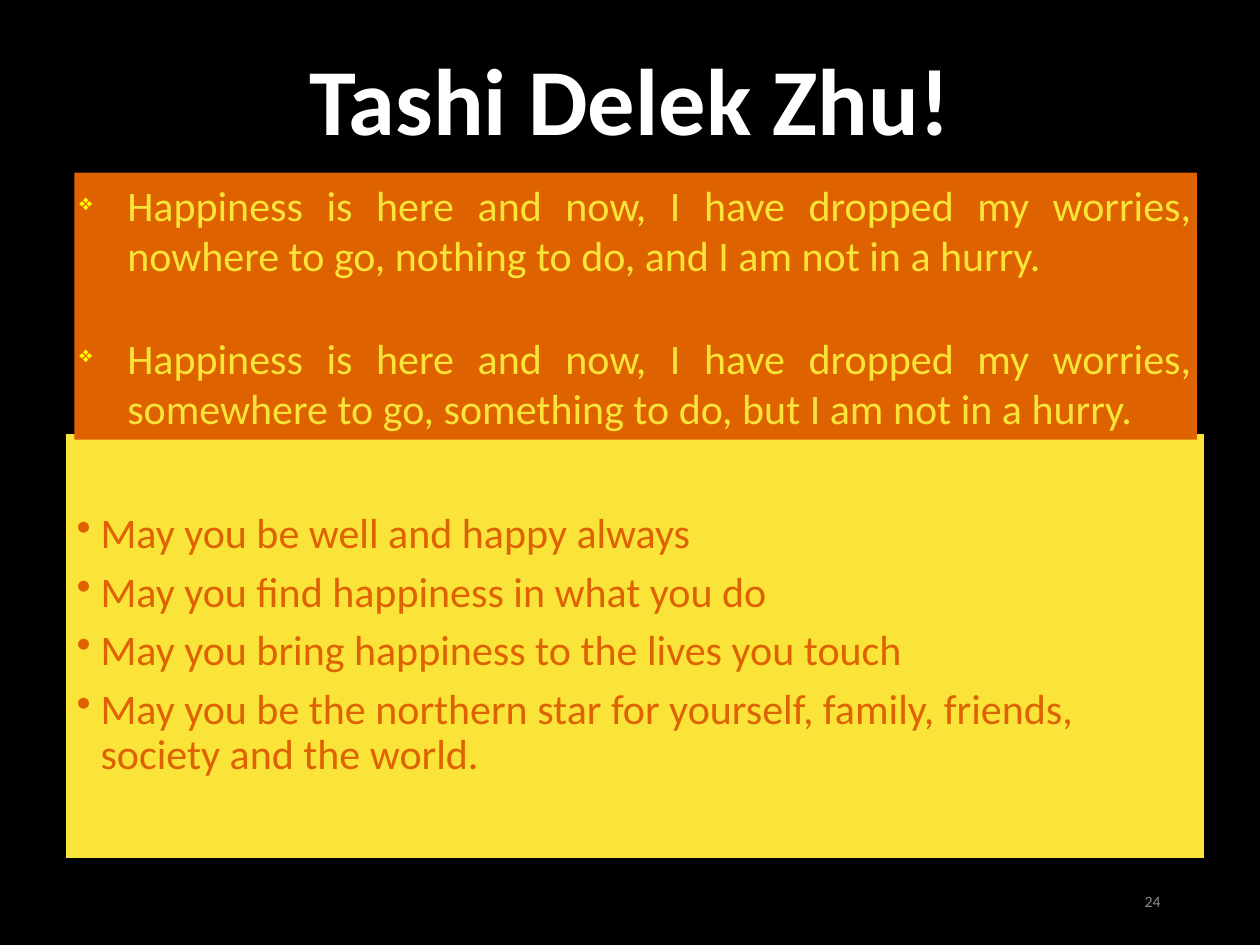
from dataclasses import dataclass

from lxml import etree
from pptx import Presentation
from pptx.dml.color import RGBColor
from pptx.enum import shapes, text
from pptx.oxml.ns import qn
from pptx.util import Inches, Pt


@dataclass(frozen=True)
class Theme:
    """Colours, type sizes and font of the slide."""
    black: str = "000000"
    white: str = "FFFFFF"
    grey: str = "8C8C8C"
    orange: str = "DE6300"
    yellow: str = "FAE439"
    bright: str = "FFFF00"
    title: int = 54
    body: int = 24
    number: int = 9
    font: str = "Calibri"


THEME = Theme()
MANTRAS = (
    "Happiness is here and now, I have dropped my worries, nowhere to go, nothing to do, and I am not in a hurry.",
    "Happiness is here and now, I have dropped my worries, somewhere to go, something to do, but I am not in a hurry.",
)
WISHES = (
    "May you be well and happy always",
    "May you find happiness in what you do",
    "May you bring happiness to the lives you touch",
    "May you be the northern star for yourself, family, friends, society and the world.",
)


def add_bullet(paragraph, char, color, indent, percent=100):
    """Give a paragraph a coloured bullet with a hanging indent."""
    props = paragraph._p.get_or_add_pPr()
    props.set("marL", str(Inches(indent)))
    props.set("indent", str(-Inches(indent)))
    bullet_color = etree.SubElement(props, qn("a:buClr"))
    etree.SubElement(bullet_color, qn("a:srgbClr"), val=color)
    etree.SubElement(props, qn("a:buSzPct"), val=str(percent * 1000))
    etree.SubElement(props, qn("a:buChar"), char=char)


def write(frame, lines, size, color, bold=False, align=text.PP_ALIGN.LEFT,
          spacing=1.0, gap=0, bullet=None):
    """Fill a text frame with one formatted paragraph per line."""
    frame.word_wrap = True
    frame.vertical_anchor = text.MSO_ANCHOR.MIDDLE
    for index, line in enumerate(lines):
        paragraph = frame.add_paragraph() if index else frame.paragraphs[0]
        if bullet:
            add_bullet(paragraph, **bullet)
        paragraph.alignment = align
        paragraph.line_spacing = spacing
        paragraph.space_before = Pt(gap if index else 0)
        run = paragraph.add_run()
        run.text = line
        run.font.name = THEME.font
        run.font.size = Pt(size)
        run.font.bold = bold
        run.font.color.rgb = RGBColor.from_string(color)


def add_panel(slide, box, fill):
    """Add a filled rectangle without a shadow or outline."""
    panel = slide.shapes.add_shape(shapes.MSO_SHAPE.RECTANGLE, *map(Inches, box))
    panel.shadow.inherit = False
    panel.fill.solid()
    panel.fill.fore_color.rgb = RGBColor.from_string(fill)
    panel.line.fill.background()
    return panel


def add_wishes(slide, box):
    """Place the yellow panel of wishes."""
    panel = add_panel(slide, box, THEME.yellow)
    panel.line.color.rgb = RGBColor.from_string(THEME.black)
    panel.line.width = Pt(2)
    write(panel.text_frame, WISHES, THEME.body, THEME.orange, spacing=0.9, gap=7.5,
          bullet=dict(char="•", color=THEME.orange, indent=0.19))


def add_mantras(slide, box):
    """Place the orange panel of mantras."""
    frame = add_panel(slide, box, THEME.orange).text_frame
    frame.margin_left = frame.margin_right = Inches(0.04)
    frame.margin_top = frame.margin_bottom = Inches(0.04)
    write(frame, MANTRAS, THEME.body, THEME.yellow, align=text.PP_ALIGN.JUSTIFY, gap=29.5,
          bullet=dict(char="❖", color=THEME.bright, indent=0.38, percent=54))


def add_title(slide, box):
    """Place the centred title."""
    title = slide.shapes.add_textbox(*map(Inches, box))
    write(title.text_frame, ["Tashi Delek Zhu!"], THEME.title, THEME.white, bold=True,
          align=text.PP_ALIGN.CENTER, spacing=0.9)


def add_number(slide, box):
    """Place the slide number."""
    number = slide.shapes.add_textbox(*map(Inches, box))
    write(number.text_frame, ["24"], THEME.number, THEME.grey, align=text.PP_ALIGN.RIGHT)


def main():
    """Build and save the closing slide."""
    deck = Presentation()
    deck.slide_width, deck.slide_height = Inches(10), Inches(7.5)
    slide = deck.slides.add_slide(deck.slide_layouts[6])
    slide.background.fill.solid()
    slide.background.fill.fore_color.rgb = RGBColor.from_string(THEME.black)
    add_wishes(slide, (0.51, 3.43, 9.06, 3.39))
    add_number(slide, (7.06, 6.95, 2.25, 0.4))
    add_title(slide, (0.69, 0.29, 8.62, 1.08))
    add_mantras(slide, (0.59, 1.37, 8.91, 2.12))
    deck.save("out.pptx")


if __name__ == "__main__":
    main()
